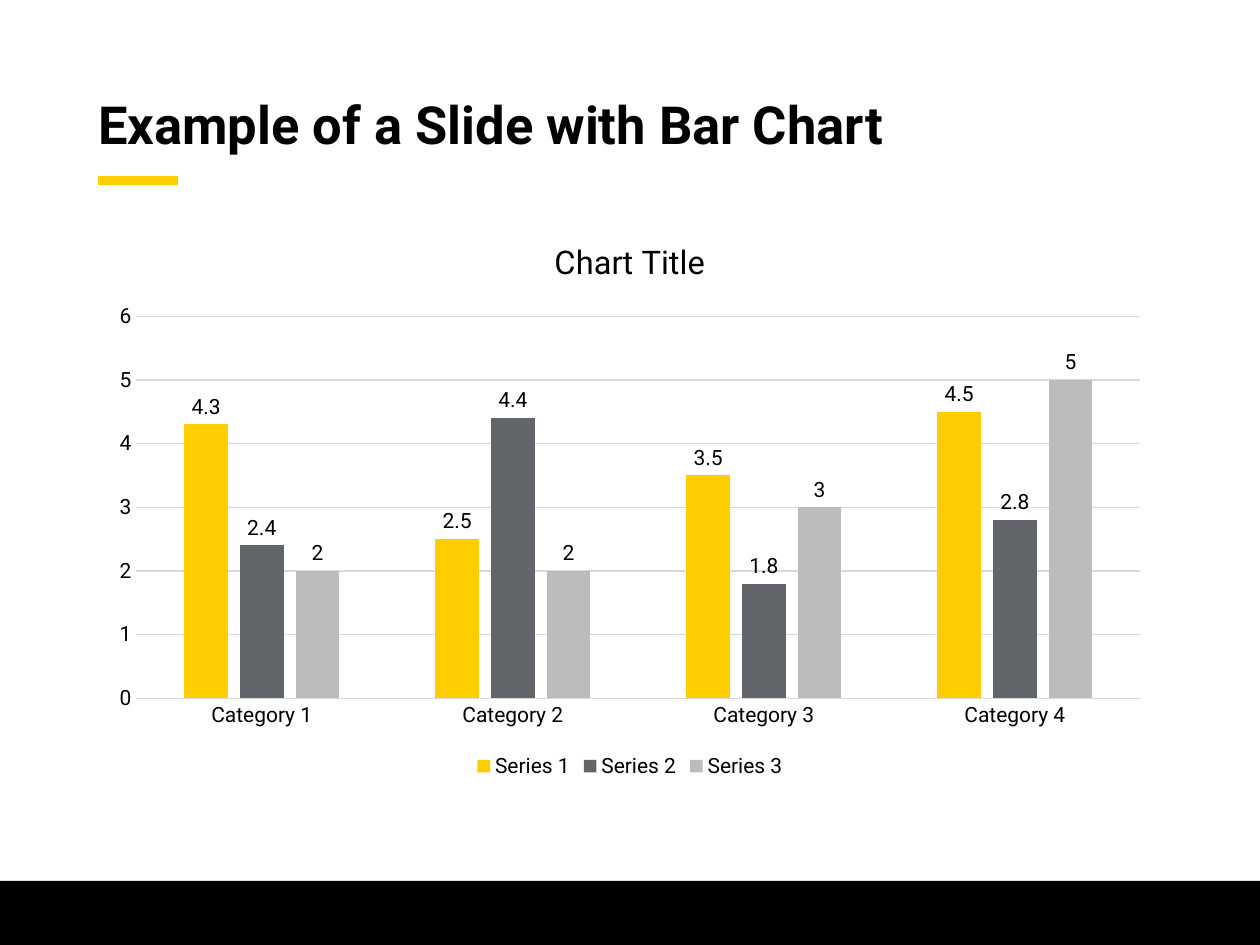
from lxml.etree import SubElement
from pptx import Presentation
from pptx.chart.data import CategoryChartData
from pptx.dml.color import RGBColor
from pptx.enum.chart import XL_CHART_TYPE as ChartType, XL_LABEL_POSITION as LabelPosition
from pptx.enum.chart import XL_LEGEND_POSITION as LegendPosition, XL_TICK_MARK as TickMark
from pptx.enum.shapes import MSO_CONNECTOR as Connector, MSO_SHAPE as Shape
from pptx.enum.text import MSO_ANCHOR as Anchor
from pptx.oxml.ns import qn
from pptx.util import Inches, Pt

FONT = "Roboto"
YELLOW, BLACK, GRID = "FFCD00", "000000", "D9D9D9"
LEFT, CONTENT_WIDTH = 0.78, 8.44
CATEGORIES = ["Category 1", "Category 2", "Category 3", "Category 4"]
SERIES = [
    ("Series 1", YELLOW, (4.3, 2.5, 3.5, 4.5)),
    ("Series 2", "62666A", (2.4, 4.4, 1.8, 2.8)),
    ("Series 3", "BBBCBC", (2, 2, 3, 5)),
]


def color(value):
    return RGBColor.from_string(value)


def style_font(font, size, bold=False):
    font.name = FONT
    font.size = Pt(size)
    font.bold = bold
    font.color.rgb = color(BLACK)


def style_line(line, value, width):
    line.color.rgb = color(value)
    line.width = Pt(width)


def add_accent(slide, left, top, width):
    accent = slide.shapes.add_connector(
        Connector.STRAIGHT, Inches(left), Inches(top), Inches(left + width), Inches(top))
    style_line(accent.line, YELLOW, 5)
    SubElement(accent._element.spPr, qn("a:effectLst"))


def add_footer(slide, top, width, height):
    footer = slide.shapes.add_shape(
        Shape.RECTANGLE, 0, Inches(top), Inches(width), Inches(height))
    footer.shadow.inherit = False
    footer.fill.solid()
    footer.fill.fore_color.rgb = color(BLACK)
    footer.line.fill.background()


def add_title(slide, text, left, top, width, height):
    box = slide.shapes.add_textbox(Inches(left), Inches(top), Inches(width), Inches(height))
    frame = box.text_frame
    frame.word_wrap = True
    frame.vertical_anchor = Anchor.MIDDLE
    frame.margin_left = frame.margin_right = frame.margin_top = frame.margin_bottom = 0
    paragraph = frame.paragraphs[0]
    paragraph.text = text
    paragraph.line_spacing = 0.9
    style_font(paragraph.font, 30, bold=True)


def style_axis(axis):
    axis.major_tick_mark = axis.minor_tick_mark = TickMark.NONE
    style_font(axis.tick_labels.font, 12)


def style_series(series, fill):
    series.format.fill.solid()
    series.format.fill.fore_color.rgb = color(fill)
    series.invert_if_negative = False
    labels = series.data_labels
    labels.show_value = True
    labels.position = LabelPosition.OUTSIDE_END
    style_font(labels.font, 12)


def add_bar_chart(slide, title, left, top, width, height):
    data = CategoryChartData()
    data.categories = CATEGORIES
    for name, _, values in SERIES:
        data.add_series(name, values)
    chart = slide.shapes.add_chart(
        ChartType.COLUMN_CLUSTERED, Inches(left), Inches(top),
        Inches(width), Inches(height), data).chart
    style_font(chart.font, 10)

    chart.has_title = True
    chart.chart_title.include_in_layout = False
    paragraph = chart.chart_title.text_frame.paragraphs[0]
    paragraph.text = title
    style_font(paragraph.font, 18.6)

    chart.has_legend = True
    chart.legend.position = LegendPosition.BOTTOM
    chart.legend.include_in_layout = False
    style_font(chart.legend.font, 12)

    style_axis(chart.category_axis)
    style_line(chart.category_axis.format.line, GRID, 0.75)
    value_axis = chart.value_axis
    style_axis(value_axis)
    value_axis.minimum_scale, value_axis.maximum_scale, value_axis.major_unit = 0, 6, 1
    value_axis.format.line.fill.background()
    style_line(value_axis.major_gridlines.format.line, GRID, 0.75)

    plot = chart.plots[0]
    plot.vary_by_categories = False
    plot.gap_width = 219
    plot.overlap = -27
    for series, (_, fill, _) in zip(plot.series, SERIES):
        style_series(series, fill)


def main():
    presentation = Presentation()
    presentation.slide_width = Inches(10)
    presentation.slide_height = Inches(7.5)
    slide = presentation.slides.add_slide(presentation.slide_layouts[6])
    add_accent(slide, LEFT, 1.43, 0.63)
    add_footer(slide, 6.99, 10, 0.51)
    add_title(slide, "Example of a Slide with Bar Chart", LEFT, 0.54, CONTENT_WIDTH, 0.95)
    add_bar_chart(slide, "Chart Title", LEFT, 1.72, CONTENT_WIDTH, 4.5)
    presentation.save("out.pptx")


if __name__ == "__main__":
    main()
